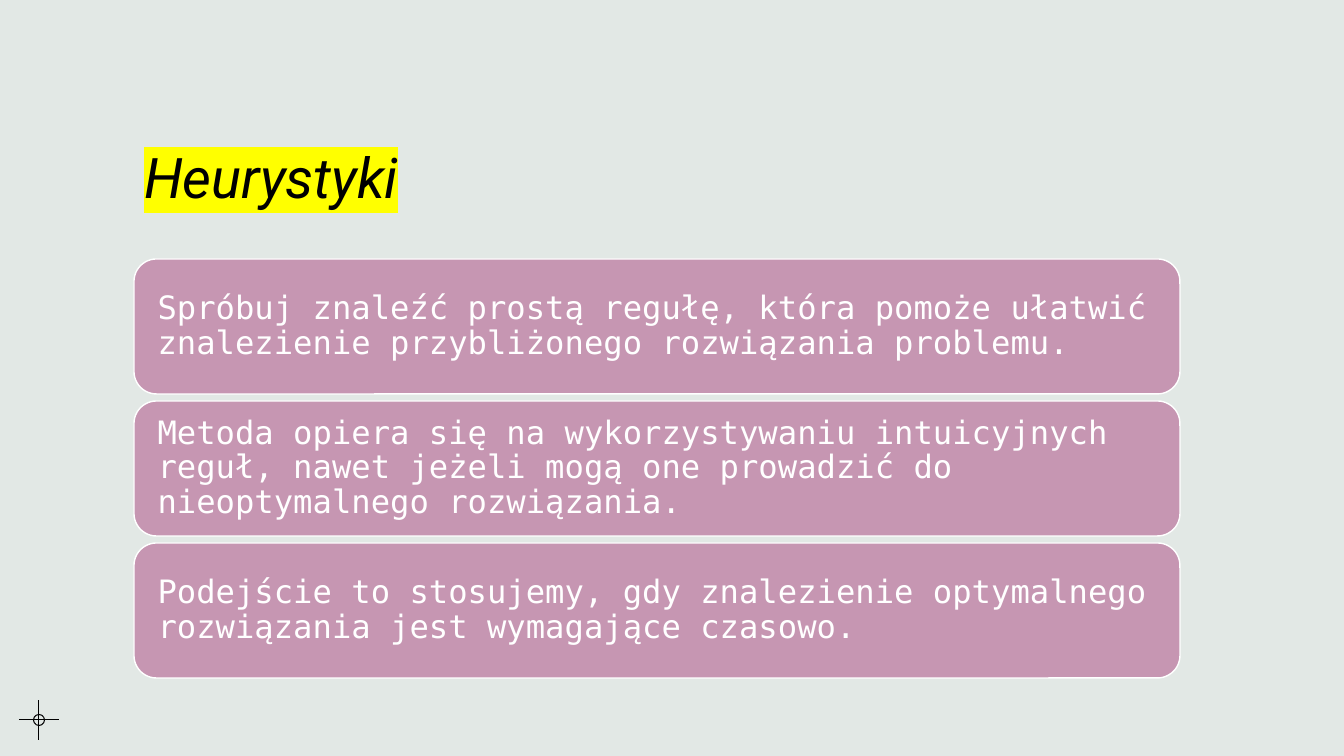
from lxml.etree import SubElement
from pptx import Presentation
from pptx.dml.color import RGBColor
from pptx.enum.shapes import MSO_CONNECTOR as CONNECTOR, MSO_SHAPE as SHAPE
from pptx.enum.text import MSO_ANCHOR as ANCHOR, MSO_AUTO_SIZE as AUTO_SIZE, PP_ALIGN as ALIGN
from pptx.oxml.ns import qn
from pptx.util import Pt

EMU_PER_PX = 914400 / 100.8
COLORS = {
    "background": "E2E8E5",
    "ink": "000000",
    "highlight": "FFFF00",
    "card": "C696B2",
    "white": "FFFFFF",
}
LEFT, WIDTH = 134, 1046
CARD_TOP, CARD_HEIGHT, CARD_PITCH = 259, 135, 142
RULES = [
    "Spróbuj znaleźć prostą regułę, która pomoże ułatwić znalezienie "
    "przybliżonego rozwiązania problemu.",
    "Metoda opiera się na wykorzystywaniu intuicyjnych reguł, nawet jeżeli "
    "mogą one prowadzić do nieoptymalnego rozwiązania.",
    "Podejście to stosujemy, gdy znalezienie optymalnego rozwiązania jest "
    "wymagające czasowo.",
]


def px(length):
    return round(length * EMU_PER_PX)


def rgb(name):
    return RGBColor.from_string(COLORS[name])


def write(frame, text, *, font, size, color, anchor, spacing, italic=False, highlight=None):
    frame.word_wrap = True
    frame.auto_size = AUTO_SIZE.NONE
    frame.vertical_anchor = anchor
    paragraph = frame.paragraphs[0]
    paragraph.alignment = ALIGN.LEFT
    paragraph.line_spacing = spacing
    run = paragraph.add_run()
    run.text = text
    run.font.size = Pt(size)
    run.font.italic = italic
    run.font.color.rgb = rgb(color)
    if highlight:
        # The schema wants the highlight between the fill and the typeface.
        marker = SubElement(run.font._element, qn("a:highlight"))
        SubElement(marker, qn("a:srgbClr"), val=COLORS[highlight])
    run.font.name = font


def add_title(slide, text):
    title = slide.shapes.title
    title.left, title.top, title.width, title.height = map(px, (LEFT, 40, WIDTH, 175))
    write(title.text_frame, text, font="Roboto", size=40, color="ink",
          anchor=ANCHOR.BOTTOM, spacing=1.2, italic=True, highlight="highlight")


def add_card(slide, top, text):
    card = slide.shapes.add_shape(
        SHAPE.ROUNDED_RECTANGLE, *map(px, (LEFT, top, WIDTH, CARD_HEIGHT)))
    card.shadow.inherit = False
    card.fill.solid()
    card.fill.fore_color.rgb = rgb("card")
    card.line.color.rgb = rgb("white")
    card.line.width = Pt(1)
    frame = card.text_frame
    frame.margin_left = frame.margin_right = px(17)
    frame.margin_top = frame.margin_bottom = px(17)
    write(frame, text, font="DejaVu Sans Mono", size=23, color="white",
          anchor=ANCHOR.MIDDLE, spacing=0.9)


def add_thin_line(slide, x1, y1, x2, y2):
    line = slide.shapes.add_connector(CONNECTOR.STRAIGHT, *map(px, (x1, y1, x2, y2)))
    line.line.color.rgb = rgb("ink")
    line.line.width = Pt(0.75)
    SubElement(line._element.spPr, qn("a:effectLst"))


def add_crosshair(slide, x, y, arm, diameter):
    add_thin_line(slide, x - arm, y, x + arm, y)
    add_thin_line(slide, x, y + arm, x, y - arm)
    ring = slide.shapes.add_shape(
        SHAPE.OVAL, *map(px, (x - diameter / 2, y - diameter / 2, diameter, diameter)))
    ring.shadow.inherit = False
    ring.fill.background()
    ring.line.color.rgb = rgb("ink")
    ring.line.width = Pt(0.75)


def main():
    presentation = Presentation()
    presentation.slide_width, presentation.slide_height = px(1344), px(756)
    slide = presentation.slides.add_slide(presentation.slide_layouts[5])
    slide.background.fill.solid()
    slide.background.fill.fore_color.rgb = rgb("background")

    add_crosshair(slide, 39, 720, arm=20, diameter=11)
    add_title(slide, "Heurystyki")
    for row, rule in enumerate(RULES):
        add_card(slide, CARD_TOP + row * CARD_PITCH, rule)
    presentation.save("out.pptx")


if __name__ == "__main__":
    main()
